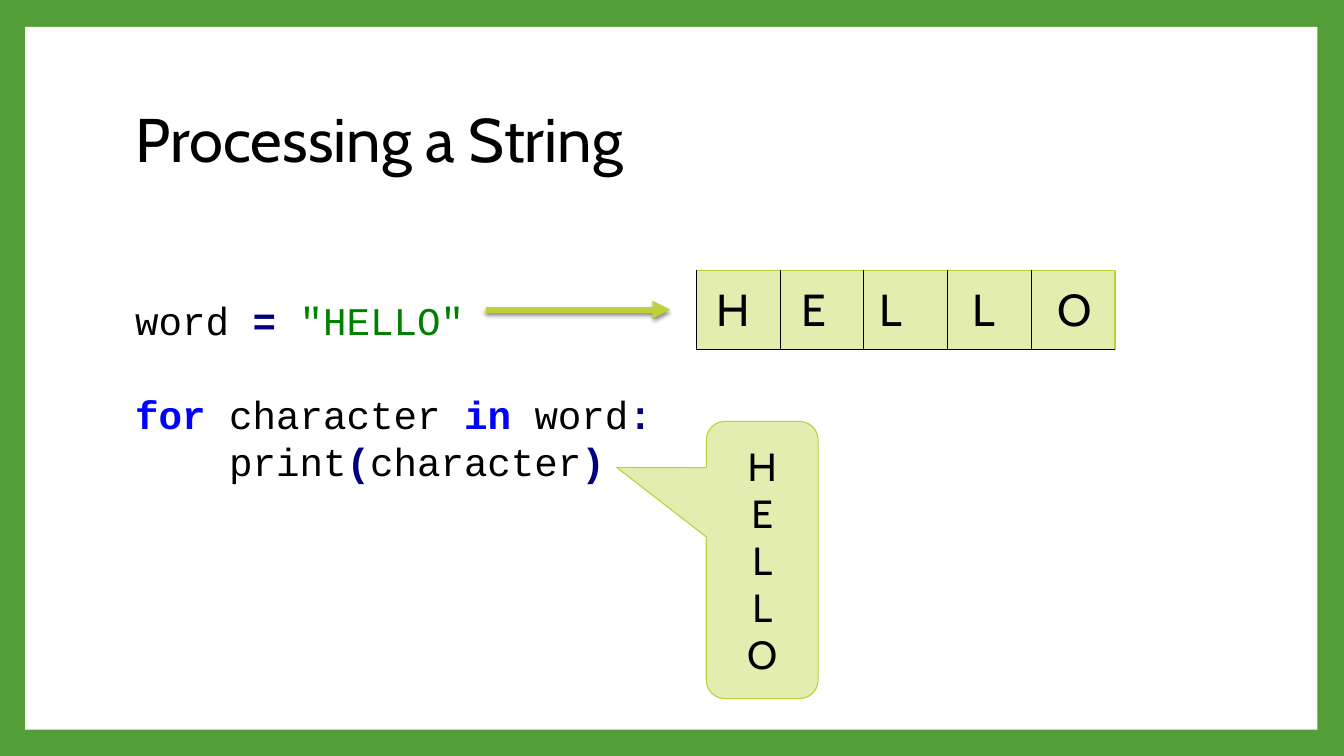
from dataclasses import dataclass

from lxml import etree
from pptx import Presentation
from pptx import util as u
from pptx.dml.color import RGBColor
from pptx.enum import shapes, text
from pptx.oxml.ns import qn


@dataclass(frozen=True)
class Theme:
    frame: str = "549E39"
    panel: str = "FFFFFF"
    ink: str = "000000"
    accent: str = "C0CF3A"
    tint: str = "E4EDB0"
    operator: str = "000080"
    string: str = "008000"
    keyword: str = "0000FF"
    body_font: str = "Cabin"
    code_font: str = "Courier New"
    title_size: float = 44
    letter_size: float = 32
    code_size: float = 28
    hairline: float = 0.79
    arrow_line: float = 4.25


class SlideBuilder:
    def __init__(self, slide, theme):
        self.slide = slide
        self.theme = theme
        background = slide.background.fill
        background.solid()
        background.fore_color.rgb = RGBColor.from_string(theme.frame)

    def style(self, font, size, color=None, name=None, bold=False):
        font.size = u.Pt(size)
        font.name = name or self.theme.body_font
        font.bold = bold
        font.color.rgb = RGBColor.from_string(color or self.theme.ink)

    def shape(self, kind, left, top, width, height, fill, line=None):
        block = self.slide.shapes.add_shape(
            kind, u.Pt(left), u.Pt(top), u.Pt(width), u.Pt(height))
        block.shadow.inherit = False
        block.fill.solid()
        block.fill.fore_color.rgb = RGBColor.from_string(fill)
        if line:
            block.line.color.rgb = RGBColor.from_string(line)
            block.line.width = u.Pt(self.theme.hairline)
        else:
            block.line.fill.background()
        return block

    def text_box(self, left, top, width, height):
        frame = self.slide.shapes.add_textbox(
            u.Pt(left), u.Pt(top), u.Pt(width), u.Pt(height)).text_frame
        frame.word_wrap = True
        return frame

    def label(self, words, left, top, width, height, size):
        frame = self.text_box(left, top, width, height)
        frame.text = words
        self.style(frame.paragraphs[0].runs[0].font, size)
        return frame

    def code(self, lines, left, top, width, height):
        """Each line is (space before, [(words, colour, bold), ...])."""
        frame = self.text_box(left, top, width, height)
        for number, (gap, pieces) in enumerate(lines):
            line = frame.add_paragraph() if number else frame.paragraphs[0]
            if gap:
                line.space_before = u.Pt(gap)
            for words, color, bold in pieces:
                run = line.add_run()
                run.text = words
                self.style(run.font, self.theme.code_size, color,
                           self.theme.code_font, bold)

    def line(self, x1, y1, x2, y2, color, width):
        """Draw a straight line and return it with its empty effect list."""
        stroke = self.slide.shapes.add_connector(
            shapes.MSO_CONNECTOR.STRAIGHT, u.Pt(x1), u.Pt(y1), u.Pt(x2), u.Pt(y2))
        stroke.line.color.rgb = RGBColor.from_string(color)
        stroke.line.width = u.Pt(width)
        effects = etree.SubElement(stroke._element.spPr, qn("a:effectLst"))
        return stroke, effects

    def arrow(self, x1, y1, x2, y2):
        stroke, effects = self.line(
            x1, y1, x2, y2, self.theme.accent, self.theme.arrow_line)
        etree.SubElement(stroke.line._get_or_add_ln(), qn("a:tailEnd"), type="triangle")
        shadow = etree.SubElement(
            effects, qn("a:outerShdw"), blurRad=str(u.Pt(3)), dist=str(u.Pt(2)),
            dir="5400000", rotWithShape="0")
        shade = etree.SubElement(shadow, qn("a:srgbClr"), val=self.theme.ink)
        etree.SubElement(shade, qn("a:alpha"), val="45000")

    def cell(self, left, top, width, height):
        """Draw a tinted box with dark left and bottom edges."""
        self.shape(shapes.MSO_SHAPE.RECTANGLE, left, top, width, height,
                   self.theme.tint, self.theme.accent)
        bottom = top + height
        for x, y in ((left + width, bottom), (left, top)):
            self.line(left, bottom, x, y, self.theme.ink, self.theme.hairline)

    def callout(self, words, left, top, width, height, adjustments):
        bubble = self.shape(shapes.MSO_SHAPE.ROUNDED_RECTANGULAR_CALLOUT,
                            left, top, width, height,
                            self.theme.tint, self.theme.accent)
        for index, value in enumerate(adjustments):
            bubble.adjustments[index] = value
        frame = bubble.text_frame
        frame.text = words
        frame.vertical_anchor = text.MSO_ANCHOR.MIDDLE
        for paragraph in frame.paragraphs:
            paragraph.alignment = text.PP_ALIGN.CENTER
            for run in paragraph.runs:
                self.style(run.font, self.theme.code_size)


def main():
    deck = Presentation()
    deck.slide_width, deck.slide_height = u.Pt(960), u.Pt(540)
    theme = Theme()
    page = SlideBuilder(deck.slides.add_slide(deck.slide_layouts[6]), theme)

    page.shape(shapes.MSO_SHAPE.RECTANGLE, 18, 19.2, 923, 502, theme.panel)
    title = page.label("Processing a String", 90, 48.24, 777.6, 106.56,
                       theme.title_size)
    title.vertical_anchor = text.MSO_ANCHOR.MIDDLE
    title.paragraphs[0].line_spacing = 0.9

    blank_line = 33.6
    page.code([
        (0, [("word ", theme.ink, False), ("= ", theme.operator, True),
             ('"HELLO"', theme.string, False)]),
        (blank_line, [("for", theme.keyword, True), (" character ", theme.ink, False),
                      ("in", theme.keyword, True), (" word", theme.ink, False),
                      (":", theme.operator, True)]),
        (0, [("    print", theme.ink, False), ("(", theme.operator, True),
             ("character", theme.ink, False), (")", theme.operator, True)]),
    ], 89.5, 208, 480, 143.3)

    row_left, row_top, cell_width, cell_height = 497.5, 193, 59.8, 56.7
    letters = [("H", 7.2), ("E", 7.9), ("L", 4.3), ("L", 10.8), ("O", 11.5)]
    cell_lefts = [row_left + cell_width * column for column in range(len(letters))]
    for cell_left in cell_lefts:
        page.cell(cell_left, row_top, cell_width, cell_height)
    for cell_left, (letter, inset) in zip(cell_lefts, letters):
        page.label(letter, cell_left + inset, 198, 46, 46, theme.letter_size)

    page.arrow(347, 221.2, 478.8, 221.2)
    page.callout("H\nE\nL\vL\nO", 504.5, 301, 79.9, 198, (-1.301, -0.334, 0.167))

    deck.save("out.pptx")


if __name__ == "__main__":
    main()
